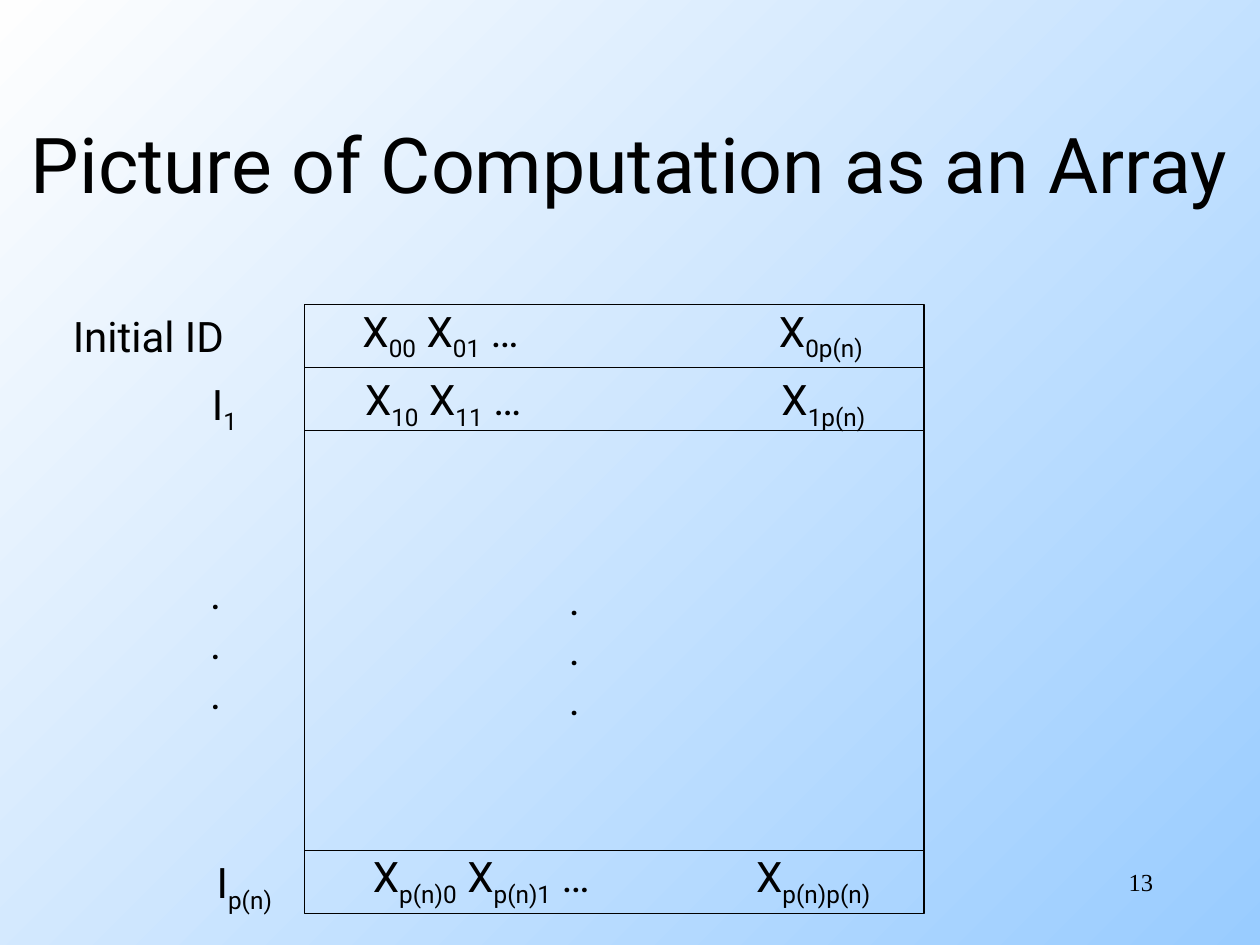
from dataclasses import dataclass

from lxml import etree
from pptx import Presentation
from pptx.dml import color
from pptx.enum import shapes, text
from pptx.oxml import ns
from pptx.slide import Slide
from pptx.util import Pt

BLACK = color.RGBColor(0x00, 0x00, 0x00)
SKY_BLUE = color.RGBColor(0x99, 0xCC, 0xFF)
OFF_WHITE = color.RGBColor(0xFE, 0xFE, 0xFE)

ARRAY_LEFT, ARRAY_TOP = 174, 174
ARRAY_WIDTH, ARRAY_HEIGHT = 354, 348
ROW_HEIGHT = 36
LINE_WIDTH = 0.75


@dataclass(frozen=True)
class Label:
    content: str
    left: float
    top: float
    width: float
    height: float
    size: float = 24
    font: str = "Roboto"
    alignment: text.PP_ALIGN = text.PP_ALIGN.LEFT
    anchor: text.MSO_ANCHOR = text.MSO_ANCHOR.TOP
    right_inset: float = 0
    tab_stop: float = 0


TITLE = Label("Picture of Computation as an Array", 0, 48, 720, 90, size=44,
              alignment=text.PP_ALIGN.CENTER, anchor=text.MSO_ANCHOR.MIDDLE,
              right_inset=7.2)
SLIDE_NUMBER = Label("13", 516, 492, 150, 36, size=14, font="Times New Roman",
                     alignment=text.PP_ALIGN.RIGHT, right_inset=7.2)
ROW_NAMES = (
    Label("Initial ID", 34.5, 174, 109.5, 36),
    Label("I|1", 114, 212.5, 30, 40),
    Label(".\n.\n.", 113, 320.5, 21, 94),
    Label("I|p(n)", 116.75, 486, 47.5, 40),
)
ROW_CONTENTS = (
    Label("X|00| X|01| …\tX|0p(n)", 200, 170.75, 309, 40, tab_stop=238),
    Label("X|10| X|11| …\tX|1p(n)", 201.5, 210, 309, 40, tab_stop=238),
    Label(".\n.\n.", 318, 324, 21, 94),
    Label("X|p(n)0| X|p(n)1| …\tX|p(n)p(n)", 206, 482.5, 306, 40, tab_stop=219),
)


def paint_background(slide: Slide) -> None:
    fill = slide.background.fill
    fill.gradient()
    fill.gradient_angle = 135
    for stop, shade in zip(fill.gradient_stops, (SKY_BLUE, OFF_WHITE)):
        stop.color.rgb = shade


def draw_label(slide: Slide, label: Label) -> None:
    box = slide.shapes.add_textbox(Pt(label.left), Pt(label.top),
                                   Pt(label.width), Pt(label.height))
    frame = box.text_frame
    frame.word_wrap = True
    frame.vertical_anchor = label.anchor
    frame.margin_right = Pt(label.right_inset)
    base, *parts = label.content.split("|")
    frame.text = base
    for part in parts:
        frame.paragraphs[0].add_run().text = part
    for paragraph in frame.paragraphs:
        paragraph.alignment = label.alignment
        for index, run in enumerate(paragraph.runs):
            run.font.size = Pt(label.size)
            run.font.name = label.font
            run.font.color.rgb = BLACK
            if index % 2:
                run._r.get_or_add_rPr().set("baseline", "-25000")
    if label.tab_stop:
        properties = frame.paragraphs[0]._p.get_or_add_pPr()
        tabs = etree.SubElement(properties, ns.qn("a:tabLst"))
        etree.SubElement(tabs, ns.qn("a:tab"), pos=str(Pt(label.tab_stop)), algn="l")


def draw_array_frame(slide: Slide) -> None:
    shape = slide.shapes.add_shape(shapes.MSO_SHAPE.RECTANGLE,
                                   Pt(ARRAY_LEFT), Pt(ARRAY_TOP),
                                   Pt(ARRAY_WIDTH), Pt(ARRAY_HEIGHT))
    shape.shadow.inherit = False
    shape.fill.background()
    shape.line.color.rgb = BLACK
    shape.line.width = Pt(LINE_WIDTH)


def draw_row_line(slide: Slide, y: float) -> None:
    line = slide.shapes.add_connector(shapes.MSO_CONNECTOR.STRAIGHT,
                                      Pt(ARRAY_LEFT), Pt(y),
                                      Pt(ARRAY_LEFT + ARRAY_WIDTH), Pt(y))
    line.line.color.rgb = BLACK
    line.line.width = Pt(LINE_WIDTH)
    etree.SubElement(line._element.spPr, ns.qn("a:effectLst"))


def main() -> None:
    presentation = Presentation()
    presentation.slide_width, presentation.slide_height = Pt(720), Pt(540)
    slide = presentation.slides.add_slide(presentation.slide_layouts[6])
    paint_background(slide)
    draw_label(slide, TITLE)
    draw_array_frame(slide)
    for y in (ARRAY_TOP + ROW_HEIGHT, ARRAY_TOP + 2 * ROW_HEIGHT,
              ARRAY_TOP + ARRAY_HEIGHT - ROW_HEIGHT):
        draw_row_line(slide, y)
    for label in (*ROW_NAMES, *ROW_CONTENTS, SLIDE_NUMBER):
        draw_label(slide, label)
    presentation.save("out.pptx")


if __name__ == "__main__":
    main()
